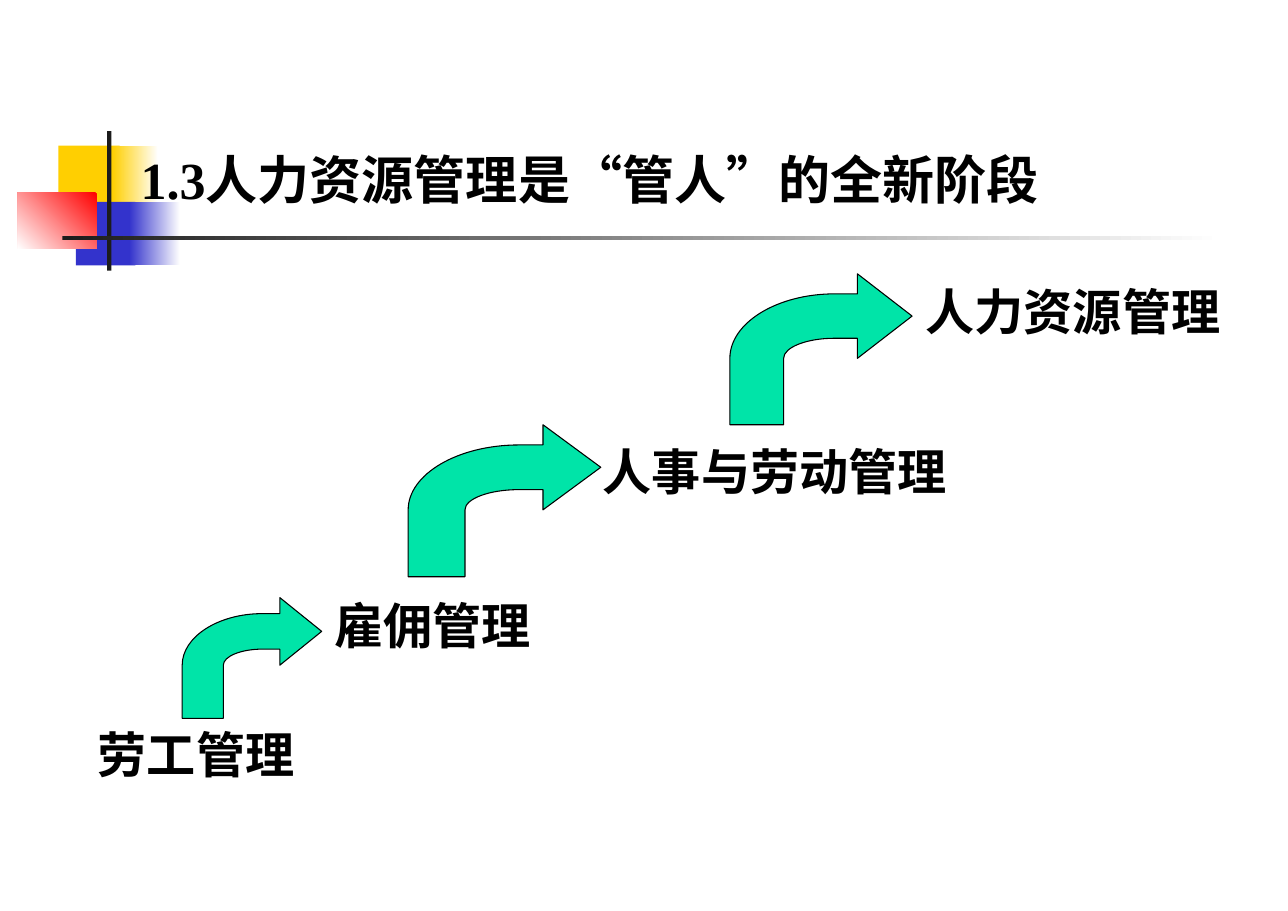
from lxml import etree
from pptx import Presentation
from pptx.dml.color import RGBColor
from pptx.enum.shapes import MSO_SHAPE as SHAPE
from pptx.enum.text import MSO_ANCHOR as ANCHOR, MSO_AUTO_SIZE as AUTO
from pptx.oxml.ns import qn
from pptx.util import Emu, Pt

PX = 9144  # 100 px to the inch


def px(n):
    return Emu(round(n * PX))


def rgb(value):
    return RGBColor.from_string(value)


def curve(sp, first):
    """Turn three line segments, from index first, into one Bezier curve."""
    lines = list(sp.element.iter(qn("a:lnTo")))[first:first + 3]
    bezier = etree.Element(qn("a:cubicBezTo"))
    lines[0].addprevious(bezier)
    for line in lines:
        bezier.append(line[0])
        line.getparent().remove(line)


class Deck:
    font = "Times New Roman"
    ink = "000000"
    arrow_fill = "00E4A8"

    def __init__(self, prs):
        self.slide = prs.slides.add_slide(prs.slide_layouts[6])

    def block(self, x, y, w, h, start, end=None, angle=0):
        """Rectangle in one colour, or fading from start to end."""
        sp = self.slide.shapes.add_shape(
            SHAPE.RECTANGLE, px(x), px(y), px(w), px(h))
        sp.shadow.inherit = False
        sp.line.fill.background()
        if end is None:
            sp.fill.solid()
            sp.fill.fore_color.rgb = rgb(start)
            return
        sp.fill.gradient()
        sp.fill.gradient_angle = angle
        for stop, color in zip(sp.fill.gradient_stops, (start, end)):
            stop.color.rgb = rgb(color)

    def text(self, x, y, w, h, words, size, anchor=ANCHOR.TOP):
        box = self.slide.shapes.add_textbox(px(x), px(y), px(w), px(h))
        tf = box.text_frame
        tf.word_wrap = True
        tf.auto_size = AUTO.NONE
        tf.vertical_anchor = anchor
        tf.margin_left = tf.margin_right = px(12)
        tf.margin_top = tf.margin_bottom = px(6)
        tf.text = words
        font = tf.paragraphs[0].runs[0].font
        font.name, font.size, font.bold = self.font, Pt(size), True
        font.color.rgb = rgb(self.ink)

    def bent_arrow(self, x, y, w, h):
        """Stem going up, a quarter turn, then a head pointing right."""
        stem, bend, neck = 0.295, 0.575, 0.7
        top, tip, inner, base = 0.133, 0.28, 0.427, 0.56
        k = 0.45  # control points sit this far from the corner
        outline = [
            (0, 1), (0, base),
            (0, top + k * (base - top)), (k * bend, top), (bend, top),
            (neck, top), (neck, 0), (1, tip), (neck, base), (neck, inner),
            (bend, inner),
            (stem + k * (bend - stem), inner),
            (stem, inner + k * (base - inner)), (stem, base),
            (stem, 1)]
        points = [(px(x + u * w), px(y + v * h)) for u, v in outline]
        fb = self.slide.shapes.build_freeform(*points[0])
        fb.add_line_segments(points[1:], close=True)
        sp = fb.convert_to_shape()
        for first in (10, 1):  # inner bend, then outer bend
            curve(sp, first)
        sp.shadow.inherit = False
        sp.fill.solid()
        sp.fill.fore_color.rgb = rgb(self.arrow_fill)
        sp.line.color.rgb = rgb(self.ink)
        sp.line.width = Pt(0.75)


def main():
    prs = Presentation()
    prs.slide_width, prs.slide_height = px(1237), px(875)
    deck = Deck(prs)

    # Corner ornament and title rule
    yellow, blue, red = "FFCF01", "3333CC", "FF0000"
    dark, white = "1C1C1C", "FFFFFF"
    deck.block(56, 140, 59, 60, yellow)
    deck.block(108, 140, 44, 60, yellow, white)
    deck.block(73, 194, 57, 61, blue)
    deck.block(124, 194, 49, 61, blue, white)
    deck.block(17, 185, 76, 54, red, white, 225)
    deck.block(103, 126, 4, 134, dark)
    deck.block(60, 227, 1114, 4, dark, white)

    # Title
    deck.text(123, 91, 1071, 117, "1.3人力资源管理是“管人”的全新阶段", 36,
              ANCHOR.BOTTOM)

    # Stages, from the lowest step to the highest
    stages = [(82, 690, 268, "劳工管理"), (309, 566, 227, "雇佣管理"),
              (567, 418, 382, "人事与劳动管理"), (877, 264, 360, "人力资源管理")]
    for x, y, w, name in stages:
        deck.text(x, y, w, 69, name, 34)

    # Arrows leading up from stage to stage
    for x, y, w, h in [(175, 574, 134, 116), (392, 408, 185, 146),
                       (701, 263, 175, 145)]:
        deck.bent_arrow(x, y, w, h)

    prs.save("out.pptx")


if __name__ == "__main__":
    main()
